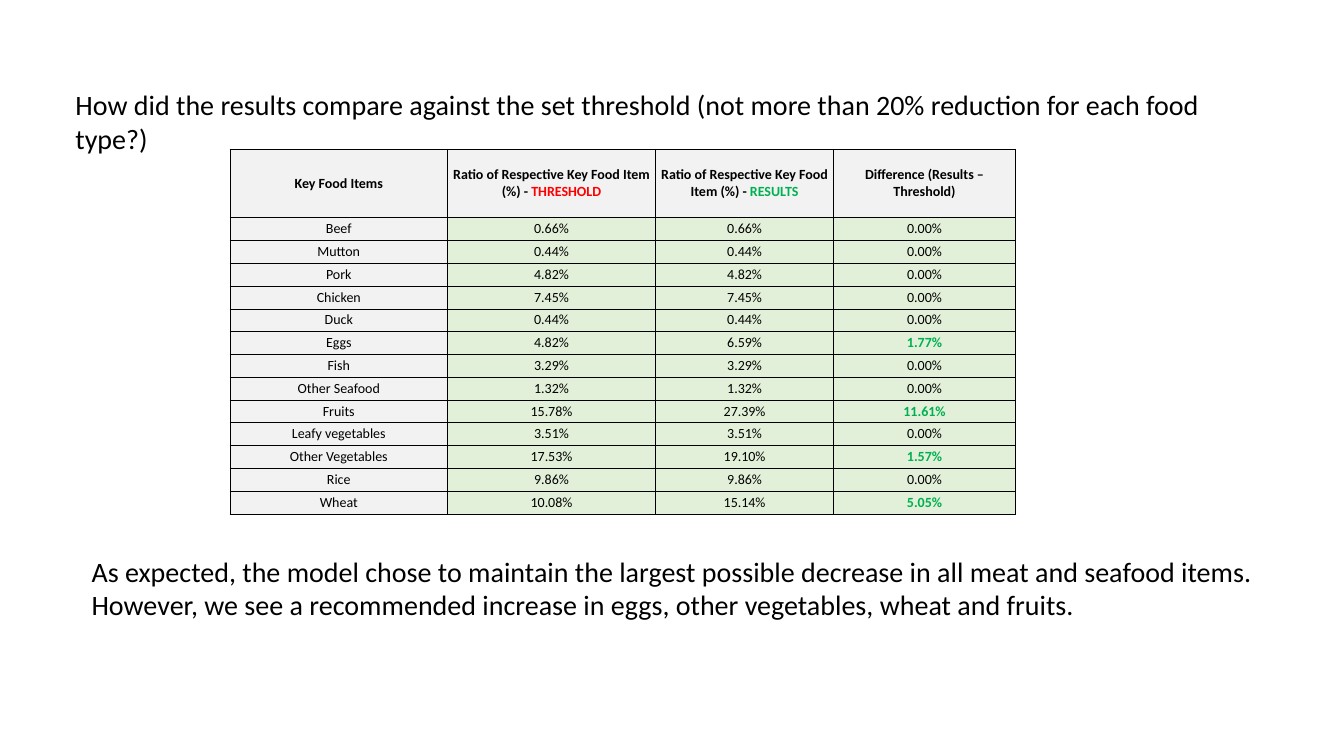
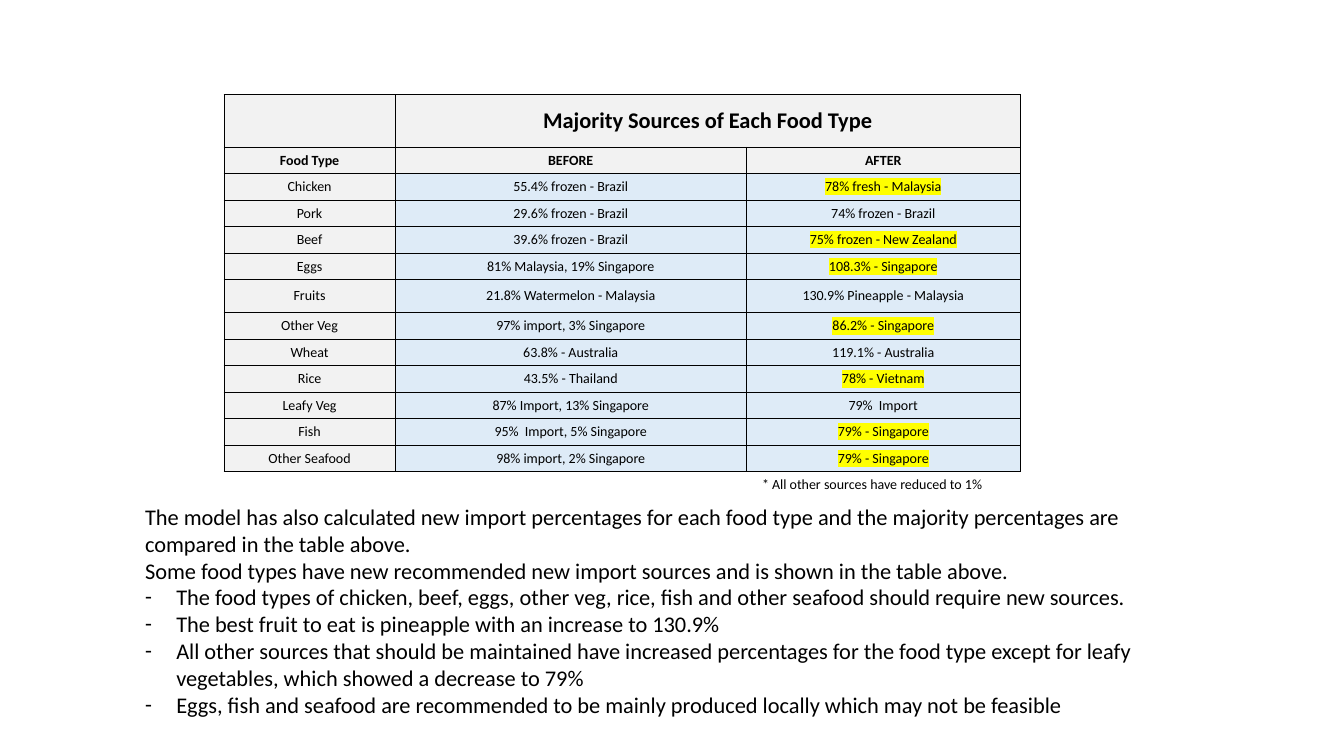
from dataclasses import dataclass
from typing import NamedTuple, Optional

from lxml import etree
from pptx import Presentation
from pptx import util as u
from pptx.dml.color import RGBColor
from pptx.enum import text as t
from pptx.oxml import ns


@dataclass(frozen=True)
class Theme:
    font: str = "Calibri"
    black: str = "000000"
    red: str = "FF0000"
    green: str = "00B050"
    yellow: str = "FFFF00"
    label_fill: str = "F2F2F2"
    green_fill: str = "E2F0D9"
    blue_fill: str = "DEEBF7"
    heading: int = 20
    body: int = 16
    small: int = 10
    border: float = 0.5


THEME = Theme()


class Span(NamedTuple):
    text: str
    size: int = THEME.small
    bold: bool = False
    colour: str = THEME.black
    highlight: Optional[str] = None


@dataclass(frozen=True)
class Cell:
    spans: tuple[Span, ...]
    fill: str = THEME.label_fill


class Place(NamedTuple):
    left: float
    top: float
    width: float
    height: float


class Comparison(NamedTuple):
    food: str
    threshold: str
    result: str
    difference: str


class Source(NamedTuple):
    food: str
    before: str
    after: str
    is_new: bool = False


COMPARISONS = (
    Comparison("Beef", "0.66%", "0.66%", "0.00%"),
    Comparison("Mutton", "0.44%", "0.44%", "0.00%"),
    Comparison("Pork", "4.82%", "4.82%", "0.00%"),
    Comparison("Chicken", "7.45%", "7.45%", "0.00%"),
    Comparison("Duck", "0.44%", "0.44%", "0.00%"),
    Comparison("Eggs", "4.82%", "6.59%", "1.77%"),
    Comparison("Fish", "3.29%", "3.29%", "0.00%"),
    Comparison("Other Seafood", "1.32%", "1.32%", "0.00%"),
    Comparison("Fruits", "15.78%", "27.39%", "11.61%"),
    Comparison("Leafy vegetables", "3.51%", "3.51%", "0.00%"),
    Comparison("Other Vegetables", "17.53%", "19.10%", "1.57%"),
    Comparison("Rice", "9.86%", "9.86%", "0.00%"),
    Comparison("Wheat", "10.08%", "15.14%", "5.05%"),
)

SOURCES = (
    Source("Chicken", "55.4% frozen - Brazil", "78% fresh - Malaysia", True),
    Source("Pork", "29.6% frozen - Brazil", "74% frozen - Brazil"),
    Source("Beef", "39.6% frozen - Brazil", "75% frozen - New Zealand", True),
    Source("Eggs", "81% Malaysia, 19% Singapore", "108.3% - Singapore", True),
    Source("Fruits", "21.8% Watermelon - Malaysia", "130.9% Pineapple - Malaysia"),
    Source("Other Veg", "97% import, 3% Singapore", "86.2% - Singapore", True),
    Source("Wheat", "63.8% - Australia", "119.1% - Australia"),
    Source("Rice", "43.5% - Thailand", "78% - Vietnam", True),
    Source("Leafy Veg", "87% Import, 13% Singapore", "79%  Import"),
    Source("Fish", "95%  Import, 5% Singapore", "79% - Singapore", True),
    Source("Other Seafood", "98% import, 2% Singapore", "79% - Singapore", True),
)

FINDINGS = (
    "The model has also calculated new import percentages for each food type and "
    "the majority percentages are compared in the table above.",
    "Some food types have new recommended new import sources and is shown in the table above.",
)
FINDING_BULLETS = (
    "The food types of chicken, beef, eggs, other veg, rice, fish and other seafood "
    "should require new sources.",
    "The best fruit to eat is pineapple with an increase to 130.9%",
    "All other sources that should be maintained have increased percentages for the "
    "food type except for leafy vegetables, which showed a decrease to 79%",
    "Eggs, fish and seafood are recommended to be mainly produced locally which may "
    "not be feasible",
)


# Text
def format_run(run, span: Span) -> None:
    font = run.font
    font.name, font.size, font.bold = THEME.font, u.Pt(span.size), span.bold
    font.color.rgb = RGBColor.from_string(span.colour)
    if span.highlight:
        highlight = etree.Element(ns.qn("a:highlight"))
        etree.SubElement(highlight, ns.qn("a:srgbClr"), val=span.highlight)
        run.font._element.find(ns.qn("a:solidFill")).addnext(highlight)


def write_spans(para, spans: tuple[Span, ...]) -> None:
    for span in spans:
        run = para.add_run()
        run.text = span.text
        format_run(run, span)


def add_dash(para) -> None:
    properties = para._p.get_or_add_pPr()
    indent = u.Inches(0.31)
    properties.set("marL", str(indent))
    properties.set("indent", str(-indent))
    etree.SubElement(properties, ns.qn("a:buFont"), typeface=THEME.font)
    etree.SubElement(properties, ns.qn("a:buChar"), char="-")


def add_text(page, place: Place, size: int, lines: tuple[str, ...],
             bullets: tuple[str, ...] = ()) -> None:
    box = page.shapes.add_textbox(*map(u.Inches, place))
    frame = box.text_frame
    frame.word_wrap = True
    frame.auto_size = t.MSO_AUTO_SIZE.SHAPE_TO_FIT_TEXT
    frame.text = "\n".join(lines + bullets)
    for index, para in enumerate(frame.paragraphs):
        for run in para.runs:
            format_run(run, Span(run.text, size))
        if index >= len(lines):
            add_dash(para)


# Tables
def add_borders(cell) -> None:
    properties = cell._tc.get_or_add_tcPr()
    for index, side in enumerate(("lnL", "lnR", "lnT", "lnB")):
        line = etree.Element(ns.qn(f"a:{side}"), w=str(u.Pt(THEME.border)))
        fill = etree.SubElement(line, ns.qn("a:solidFill"))
        etree.SubElement(fill, ns.qn("a:srgbClr"), val=THEME.black)
        properties.insert(index, line)


def fill_cell(cell, content: Cell) -> None:
    cell.margin_left = cell.margin_right = cell.margin_top = cell.margin_bottom = 0
    cell.vertical_anchor = t.MSO_ANCHOR.MIDDLE
    cell.fill.solid()
    cell.fill.fore_color.rgb = RGBColor.from_string(content.fill)
    add_borders(cell)
    para = cell.text_frame.paragraphs[0]
    para.alignment = t.PP_ALIGN.CENTER
    write_spans(para, content.spans)


def add_grid(page, place: Place, columns: tuple[float, ...],
             special_rows: dict[int, float], rows: list[list[Cell]]):
    """Rows without a height of their own share the remaining height equally."""
    frame = page.shapes.add_table(len(rows), len(columns), *map(u.Inches, place))
    table = frame.table
    table.first_row = table.horz_banding = False
    for column, width in zip(table.columns, columns):
        column.width = u.Inches(width)
    shared = (place.height - sum(special_rows.values())) / (len(rows) - len(special_rows))
    for index, contents in enumerate(rows):
        table.rows[index].height = u.Inches(special_rows.get(index, shared))
        for cell, content in zip(table.rows[index].cells, contents):
            fill_cell(cell, content)
    return table


def header(label: str, accent: str = "", colour: str = THEME.black) -> Cell:
    spans = (Span(label, bold=True),)
    if accent:
        spans += (Span(accent, bold=True, colour=colour),)
    return Cell(spans)


def comparison_row(item: Comparison) -> list[Cell]:
    changed = item.difference != "0.00%"
    difference = Span(item.difference, bold=changed,
                      colour=THEME.green if changed else THEME.black)
    values = (Span(item.threshold), Span(item.result), difference)
    return [Cell((Span(item.food),))] + [Cell((value,), THEME.green_fill) for value in values]


def source_row(item: Source) -> list[Cell]:
    after = Span(item.after, highlight=THEME.yellow if item.is_new else None)
    values = (Span(item.before), after)
    return [Cell((Span(item.food),))] + [Cell((value,), THEME.blue_fill) for value in values]


# Slides
def build_threshold_page(page) -> None:
    ratio = "Ratio of Respective Key Food Item (%) - "
    headers = [
        header("Key Food Items"),
        header(ratio, "THRESHOLD", THEME.red),
        header(ratio, "RESULTS", THEME.green),
        header("Difference (Results – Threshold)"),
    ]
    add_grid(page, Place(2.28, 1.48, 7.79, 3.62), (2.16, 2.06, 1.77, 1.8),
             {0: 0.68}, [headers, *map(comparison_row, COMPARISONS)])
    add_text(page, Place(0.65, 0.82, 11.87, 0.77), THEME.heading, (
        "How did the results compare against the set threshold (not more than 20% "
        "reduction for each food type?)",))
    add_text(page, Place(0.81, 5.45, 11.87, 0.77), THEME.heading, (
        "As expected, the model chose to maintain the largest possible decrease in all "
        "meat and seafood items. However, we see a recommended increase in eggs, other "
        "vegetables, wheat and fruits.",))


def build_sources_page(page) -> None:
    title = Span("Majority Sources of Each Food Type", THEME.body, True)
    rows = [
        [Cell(()), Cell((title,)), Cell(())],
        [header(label) for label in ("Food Type", "BEFORE", "AFTER")],
        *map(source_row, SOURCES),
    ]
    table = add_grid(page, Place(2.22, 0.94, 7.91, 3.74), (1.7, 3.48, 2.72),
                     {0: 0.52, 6: 0.33}, rows)
    table.cell(0, 1).merge(table.cell(0, 2))
    add_text(page, Place(1.34, 4.94, 10.09, 2.52), THEME.body, FINDINGS, FINDING_BULLETS)
    add_text(page, Place(7.46, 4.67, 3.77, 0.27), THEME.small,
             ("* All other sources have reduced to 1%",))


def main() -> None:
    deck = Presentation()
    deck.slide_width, deck.slide_height = u.Inches(13.33), u.Inches(7.5)
    blank = deck.slide_layouts[6]
    for build in (build_threshold_page, build_sources_page):
        build(deck.slides.add_slide(blank))
    deck.save("out.pptx")


if __name__ == "__main__":
    main()
